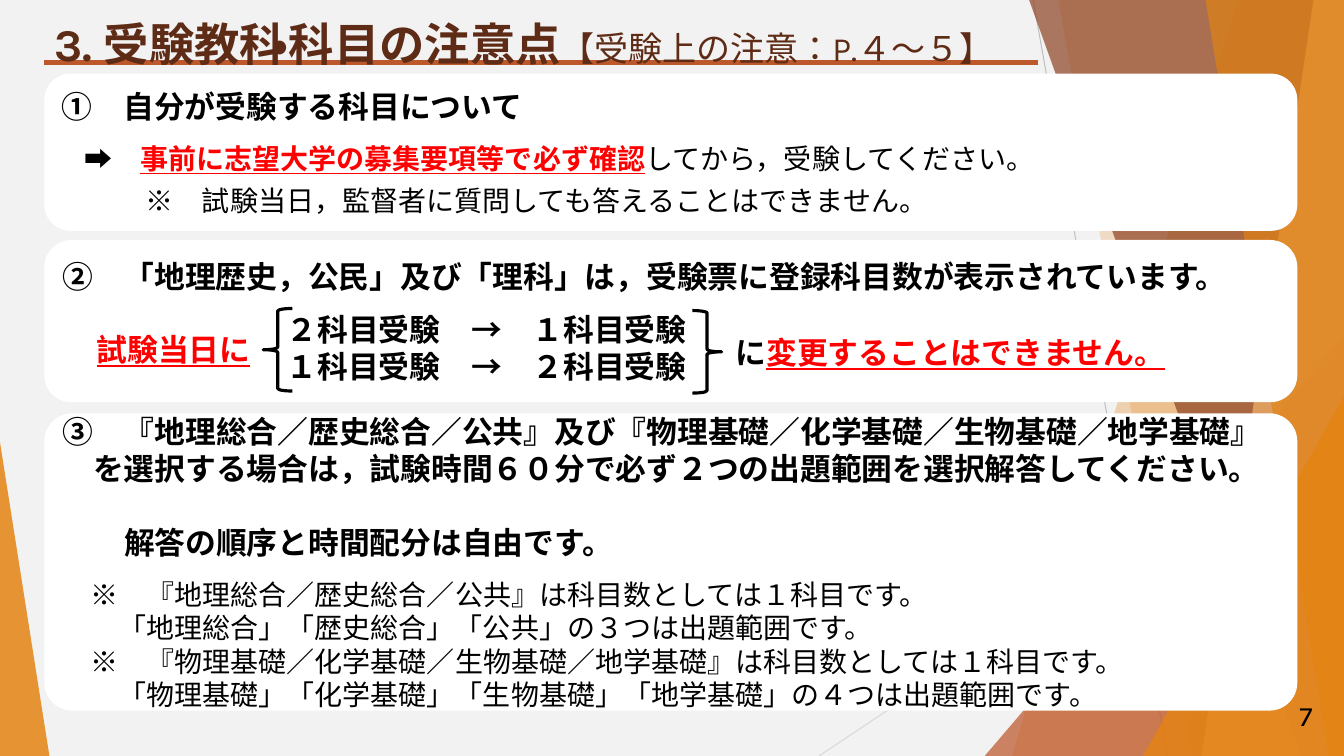
from pptx import Presentation
from pptx.dml.color import RGBColor
from pptx.enum.lang import MSO_LANGUAGE_ID
from pptx.enum.shapes import MSO_CONNECTOR, MSO_SHAPE
from pptx.enum.text import MSO_ANCHOR, PP_ALIGN
from pptx.oxml.ns import qn
from pptx.util import Pt
from lxml import etree

LINE = MSO_CONNECTOR.STRAIGHT
ROUND = MSO_SHAPE.ROUNDED_RECTANGLE
BRACE = MSO_SHAPE.RIGHT_BRACE
PEAK = MSO_SHAPE.ISOSCELES_TRIANGLE
MIDDLE, BOTTOM = MSO_ANCHOR.MIDDLE, MSO_ANCHOR.BOTTOM
LEFT, RIGHT = PP_ALIGN.LEFT, PP_ALIGN.RIGHT
JAPAN = MSO_LANGUAGE_ID.JAPANESE

BLACK = RGBColor(0, 0, 0)
WHITE = RGBColor(255, 255, 255)
RED = RGBColor(255, 0, 0)
PALE = RGBColor(0xF2, 0xF2, 0xF2)
GREY = RGBColor(0xBF, 0xBF, 0xBF)
SILVER = RGBColor(0xD9, 0xD9, 0xD9)
ORANGE = RGBColor(0xE4, 0x83, 0x12)
RUST = RGBColor(0xBD, 0x58, 0x2C)
BROWN = RGBColor(0x8E, 0x42, 0x21)
PEACH = RGBColor(0xF3, 0xB5, 0x6C)
DARK = RGBColor(0x5E, 0x2C, 0x16)

deck = Presentation()
deck.slide_width, deck.slide_height = Pt(960), Pt(540)
slide = deck.slides.add_slide(deck.slide_layouts[6])
slide.background.fill.solid()
slide.background.fill.fore_color.rgb = PALE
shapes = slide.shapes


def paint(shape, color, alpha=100):
    shape.shadow.inherit = False
    shape.line.fill.background()
    shape.fill.solid()
    shape.fill.fore_color.rgb = color
    if alpha < 100:
        tint = shape.fill._xPr.find(qn("a:solidFill"))[0]
        etree.SubElement(tint, qn("a:alpha")).set("val", str(alpha * 1000))


def write(shape, paras, font, anchor, align=LEFT, wrap=True):
    """Each paragraph: indent, space before, runs (text, size, color, bold, underline)."""
    frame = shape.text_frame
    frame.word_wrap = wrap
    frame.vertical_anchor = anchor
    for i, (indent, before, runs) in enumerate(paras):
        para = frame.paragraphs[0] if i == 0 else frame.add_paragraph()
        para.alignment = align
        para._p.get_or_add_pPr().set("marL", str(Pt(indent)))
        if before:
            para.space_before = Pt(before)
        for text, size, color, bold, under in runs:
            run = para.add_run()
            run.text = text
            run.font.name = font
            run.font.size = Pt(size)
            run.font.color.rgb = color
            run.font.bold = bold
            run.font.underline = under


# Thin lines behind, and the rule under the title
rules = [(738, 0, 834, 540, GREY, 0.75), (960, 290, 585, 540, SILVER, 0.75),
         (31.7, 44.6, 741.6, 44.6, RUST, 3)]
for x1, y1, x2, y2, color, width in rules:
    rule = shapes.add_connector(LINE, Pt(x1), Pt(y1), Pt(x2), Pt(y2))
    rule.line.color.rgb = color
    rule.line.width = Pt(width)
    etree.SubElement(rule._element.spPr, qn("a:effectLst"))

# Orange facets: a band by its top and bottom left x, or a triangle by its box
facets = [
    ((884.2, 722.9), ORANGE, 30),
    ((756, 851.8), ORANGE, 20),
    ((703.4, 239.8, 256.6, 300.2, 1), RUST, 72),
    ((735.1, 929.5), BROWN, 70),
    ((938.2, 858.2), PEACH, 70),
    ((861.1, 949), ORANGE, 65),
    ((816.5, 283, 143.5, 257, 1), ORANGE, 80),
    ((0, 316, 35.3, 224, 0), ORANGE, 85),
]
for place, color, alpha in facets:
    if len(place) == 2:
        top, base = place
        path = shapes.build_freeform(Pt(top), 0)
        path.add_line_segments([(Pt(960), 0), (Pt(960), Pt(540)), (Pt(base), Pt(540))])
        facet = path.convert_to_shape()
    else:
        facet = shapes.add_shape(PEAK, *[Pt(v) for v in place[:4]])
        facet.adjustments[0] = place[4]
    paint(facet, color, alpha)

# White cards
cards = [
    (52.6, 112.3, 0.167, [
        (0, 0, [("①　自分が受験する科目について", 22, BLACK, True, False)]),
        (16, 12, [("➡　", 20, BLACK, False, False),
                  ("事前に志望大学の募集要項等で必ず確認", 20, RED, True, True),
                  ("してから，受験してください。", 20, BLACK, False, False)]),
        (60, 6, [("※　試験当日，監督者に質問しても答えることはできません。",
                  20, BLACK, False, False)]),
    ]),
    (171.4, 115.9, 0.167, [
        (0, 0, [("②　「地理歴史，公民」及び「理科」は，受験票に登録科目数が表示されています。",
                 22, BLACK, True, False)]),
        (160.4, 12, [("２科目受験　→　１科目受験", 22, BLACK, True, False)]),
        (160.4, 0, [("１科目受験　→　２科目受験", 22, BLACK, True, False)]),
    ]),
    (295.2, 212.4, 0.094, [
        (0, 0, [("③　『地理総合／歴史総合／公共』及び『物理基礎／化学基礎／生物基礎／地学基礎』",
                 22, BLACK, True, False)]),
        (22, 0, [("を選択する場合は，試験時間６０分で必ず２つの出題範囲を選択解答してください。",
                  22, BLACK, True, False)]),
        (44, 26.4, [("解答の順序と時間配分は自由です。", 22, BLACK, True, False)]),
        (20, 12, [("※　『地理総合／歴史総合／公共』は科目数としては１科目です。",
                   20, BLACK, False, False)]),
        (40, 0, [("「地理総合」「歴史総合」「公共」の３つは出題範囲です。",
                  20, BLACK, False, False)]),
        (20, 0, [("※　『物理基礎／化学基礎／生物基礎／地学基礎』は科目数としては１科目です。",
                  20, BLACK, False, False)]),
        (40, 0, [("「物理基礎」「化学基礎」「生物基礎」「地学基礎」の４つは出題範囲です。",
                  20, BLACK, False, False)]),
    ]),
]
for top, height, curve, paras in cards:
    card = shapes.add_shape(ROUND, Pt(31.7), Pt(top), Pt(895), Pt(height))
    card.adjustments[0] = curve
    paint(card, WHITE)
    write(card, paras, "Karla", MIDDLE)

# Braces round the two cases
for left, top, turn in [(187.9, 220.3, 180), (494.6, 221.8, 0)]:
    brace = shapes.add_shape(BRACE, Pt(left), Pt(top), Pt(20.9), Pt(59))
    brace.rotation = turn
    brace.shadow.inherit = False
    brace.fill.background()
    brace.line.color.rgb = BLACK
    brace.line.width = Pt(2.25)

# Title, with the middle dot drawn in on both sides
title = shapes.add_textbox(Pt(31.7), Pt(9.6), Pt(730.8), Pt(44.6))
heads = [(text, 32.4, DARK, True, False) for text in ("3. 受験教", "科", "・", "科目の注意点")]
heads.append(("【受験上の注意：P.４～５】", 24.3, DARK, False, False))
write(title, [(0, 0, heads)], "Karla", BOTTOM, wrap=False)
for run in title.text_frame.paragraphs[0].runs:
    run.font.language_id = JAPAN
    if run.text in ("科", "・"):
        run.font._element.set("spc", "-965")

# Words beside the braces, page number
labels = [
    (61.9, 232.6, 152.6, 33.8, "Arial", MIDDLE, LEFT,
     [("試験当日に", 22, RED, True, True)]),
    (518.4, 234.7, 391, 33.8, "Arial", MIDDLE, LEFT,
     [("に", 22, BLACK, True, False),
      ("変更することはできません。", 22, RED, True, True)]),
    (890.6, 496.8, 54, 28.8, "Karla", MIDDLE, RIGHT,
     [("7", 20, BLACK, False, False)]),
]
for left, top, width, height, font, anchor, align, runs in labels:
    label = shapes.add_textbox(Pt(left), Pt(top), Pt(width), Pt(height))
    write(label, [(0, 0, runs)], font, anchor, align)

deck.save("out.pptx")
